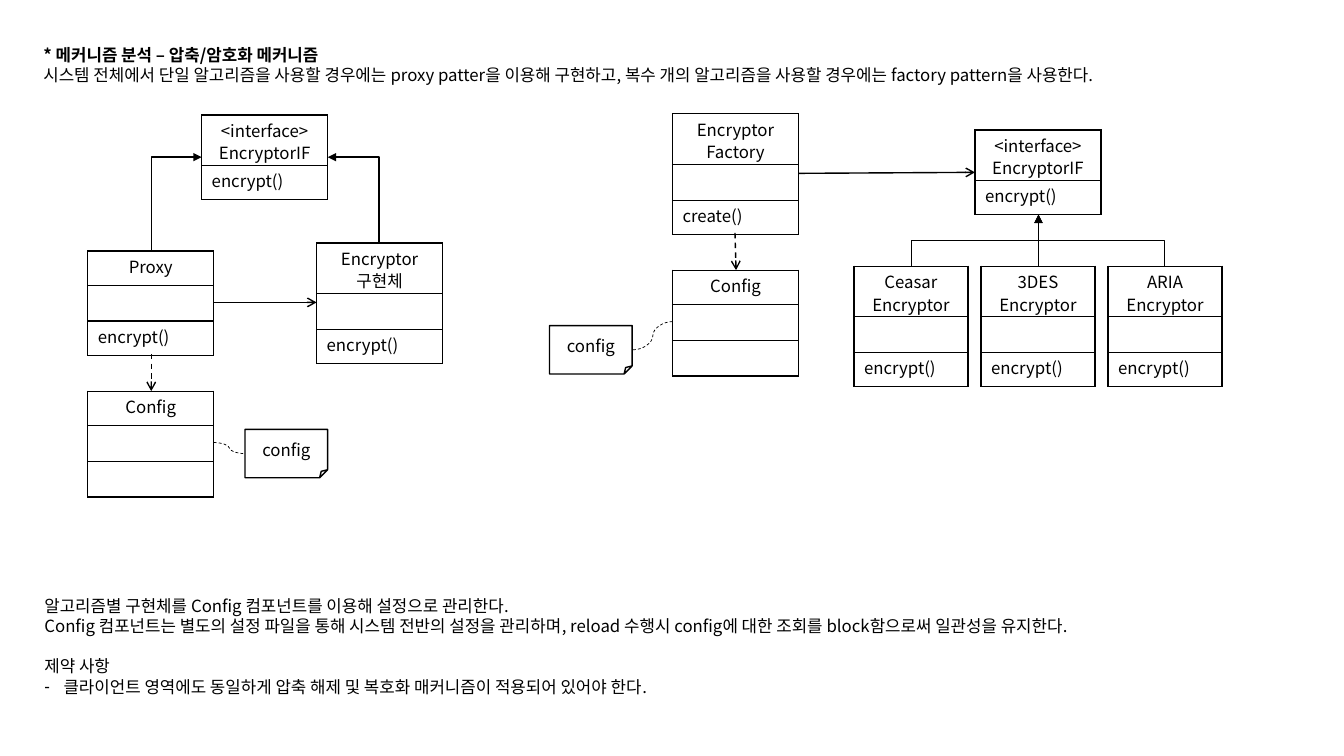
"""Build the slide on the compression and encryption mechanism with its two class diagrams."""
import lxml.etree
import pptx
import pptx.dml.color
import pptx.enum.dml
import pptx.enum.shapes
import pptx.enum.text
import pptx.oxml.ns
import pptx.util

Inches, Pt, qn = pptx.util.Inches, pptx.util.Pt, pptx.oxml.ns.qn
ALIGN = pptx.enum.text.PP_ALIGN
ANCHOR = pptx.enum.text.MSO_ANCHOR
LINK = pptx.enum.shapes.MSO_CONNECTOR
INK = "000000"
FONT = "Noto Sans CJK KR"
ROW, TALL_ROW = 0.34, 0.5


def rgb(value):
    return pptx.dml.color.RGBColor.from_string(value)


def write(p, text, align=ALIGN.LEFT, spacing=None, bold=False):
    p.alignment = align
    p.line_spacing = spacing
    p.space_before = p.space_after = Pt(0)
    r = p.add_run()
    r.text = text
    r.font.size, r.font.name, r.font.bold = Pt(12), FONT, bold
    r.font.color.rgb = rgb(INK)
    lxml.etree.SubElement(r._r.get_or_add_rPr(), qn("a:ea")).set("typeface", FONT)


prs = pptx.Presentation()
prs.slide_width, prs.slide_height = Inches(13.33), Inches(7.5)
s = prs.slides.add_slide(prs.slide_layouts[1])
title, body = s.placeholders

heading = [
    "* 메커니즘 분석 – 압축/암호화 메커니즘",
    "시스템 전체에서 단일 알고리즘을 사용할 경우에는 proxy patter을 이용해 구현하고, "
    "복수 개의 알고리즘을 사용할 경우에는 factory pattern을 사용한다.",
]
notes = [
    "알고리즘별 구현체를 Config 컴포넌트를 이용해 설정으로 관리한다.",
    "Config 컴포넌트는 별도의 설정 파일을 통해 시스템 전반의 설정을 관리하며, "
    "reload 수행시 config에 대한 조회를 block함으로써 일관성을 유지한다.",
    "제약 사항",
    "클라이언트 영역에도 동일하게 압축 해제 및 복호화 매커니즘이 적용되어 있어야 한다.",
]
for sp, lines, box in [(title, heading, (0.33, 0.39, 11.61, 0.5)),
                       (body, notes, (0.34, 5.86, 11.34, 1.11))]:
    sp.left, sp.top, sp.width, sp.height = map(Inches, box)
    tf = sp.text_frame
    tf.word_wrap = True
    tf.auto_size = pptx.enum.text.MSO_AUTO_SIZE.NONE
    tf.vertical_anchor = ANCHOR.TOP
    for i, line in enumerate(lines):
        p = tf.paragraphs[0] if i == 0 else tf.add_paragraph()
        write(p, line, spacing=Pt(14.4), bold=sp is title and i == 0)
        if line == "제약 사항":
            p.space_before = Pt(14.4)
        pPr = p._p.get_or_add_pPr()
        dashed = line == notes[-1]
        indent = Inches(0.19) if dashed else 0
        pPr.set("marL", str(indent))
        pPr.set("indent", str(-indent))
        if dashed:
            lxml.etree.SubElement(pPr, qn("a:buChar")).set("char", "-")
        else:
            lxml.etree.SubElement(pPr, qn("a:buNone"))

interface = ["<interface>\nEncryptorIF", "encrypt()"]
classes = [
    (2, 1.14, 1.25, interface),
    (0.87, 2.49, 1.25, ["Proxy", "", "encrypt()"]),
    (3.14, 2.41, 1.25, ["Encryptor\n구현체", "", "encrypt()"]),
    (0.87, 3.88, 1.25, ["Config", "", ""]),
    (6.67, 1.13, 1.25, ["Encryptor\nFactory", "", "create()"]),
    (6.67, 2.68, 1.25, ["Config", "", ""]),
    (9.67, 1.29, 1.25, interface),
]
for i, name in enumerate(["Ceasar", "3DES", "ARIA"]):
    classes.append((8.47 + i * 1.26, 2.64, 1.13, [name + "\nEncryptor", "", "encrypt()"]))

for x, y, width, parts in classes:
    heights = [TALL_ROW if "\n" in part else ROW for part in parts]
    table = s.shapes.add_table(len(parts), 1, Inches(x), Inches(y),
                               Inches(width), Inches(sum(heights))).table
    table.first_row = table.horz_banding = False
    for i, part in enumerate(parts):
        table.rows[i].height = Inches(heights[i])
        cell = table.cell(i, 0)
        cell.margin_bottom = 0
        for j, line in enumerate(part.split("\n")):
            tf = cell.text_frame
            p = tf.paragraphs[0] if j == 0 else tf.add_paragraph()
            p.line_spacing = Pt(16)
            if line:
                write(p, line, ALIGN.LEFT if i else ALIGN.CENTER, Pt(16))
        tcPr = cell._tc.get_or_add_tcPr()
        for side in ("lnL", "lnR", "lnT", "lnB"):
            ln = lxml.etree.SubElement(tcPr, qn("a:" + side), w=str(Pt(1)))
            fill = lxml.etree.SubElement(ln, qn("a:solidFill"))
            lxml.etree.SubElement(fill, qn("a:srgbClr")).set("val", INK)
        cell.fill.background()

for x, y in [(5.45, 3.23), (2.43, 4.26)]:
    sp = s.shapes.add_shape(pptx.enum.shapes.MSO_SHAPE.FOLDED_CORNER,
                            Inches(x), Inches(y), Inches(0.82), Inches(0.48))
    sp.shadow.inherit = False
    sp.fill.background()
    sp.line.color.rgb = rgb(INK)
    sp.line.width = Pt(1)
    sp.text_frame.vertical_anchor = ANCHOR.MIDDLE
    write(sp.text_frame.paragraphs[0], "config", ALIGN.CENTER)

links = [
    ("line", 2.12, 3, 3.14, 3, "arrow", False),
    ("line", 7.92, 1.72, 9.67, 1.71, "arrow", False),
    ("line", 1.5, 3.51, 1.5, 3.88, "arrow", True),
    ("line", 7.29, 2.31, 7.3, 2.68, "arrow", True),
    ("curvedConnector3", 2.12, 4.39, 2.43, 4.5, None, True),
    ("curvedConnector3", 6.67, 3.19, 6.28, 3.47, None, True),
    ("bentConnector2", 1.5, 2.49, 2, 1.56, "triangle", False),
    ("bentConnector2", 3.76, 2.41, 3.25, 1.56, "triangle", False),
]
links += [("bentConnector3", x, 2.64, 10.3, 2.13, "triangle", False) for x in (9.04, 10.3, 11.55)]

for preset, x1, y1, x2, y2, tail, dashed in links:
    bent = preset.startswith("bent")
    turn = 90 if x2 > x1 else 270
    if bent:
        cx, cy = (x1 + x2) / 2, (y1 + y2) / 2
        dx = (y1 - y2) / 2 * (1 if turn == 90 else -1)
        dy = abs(x2 - x1) / 2
        x1, y1, x2, y2 = cx + dx, cy + dy, cx - dx, cy - dy
    kind = LINK.ELBOW if bent else LINK.STRAIGHT if preset == "line" else LINK.CURVE
    link = s.shapes.add_connector(kind, Inches(x1), Inches(y1), Inches(x2), Inches(y2))
    link.line.color.rgb = rgb(INK)
    link.line.width = Pt(1 if tail else 0.5)
    if dashed:
        link.line.dash_style = pptx.enum.dml.MSO_LINE.DASH
    spPr = link._element.spPr
    if bent:
        spPr.find(qn("a:xfrm")).set("rot", str(turn * 60000))
        spPr.find(qn("a:prstGeom")).set("prst", preset)
    if tail:
        lxml.etree.SubElement(spPr.find(qn("a:ln")), qn("a:tailEnd")).set("type", tail)
    lxml.etree.SubElement(spPr, qn("a:effectLst"))

prs.save("out.pptx")
